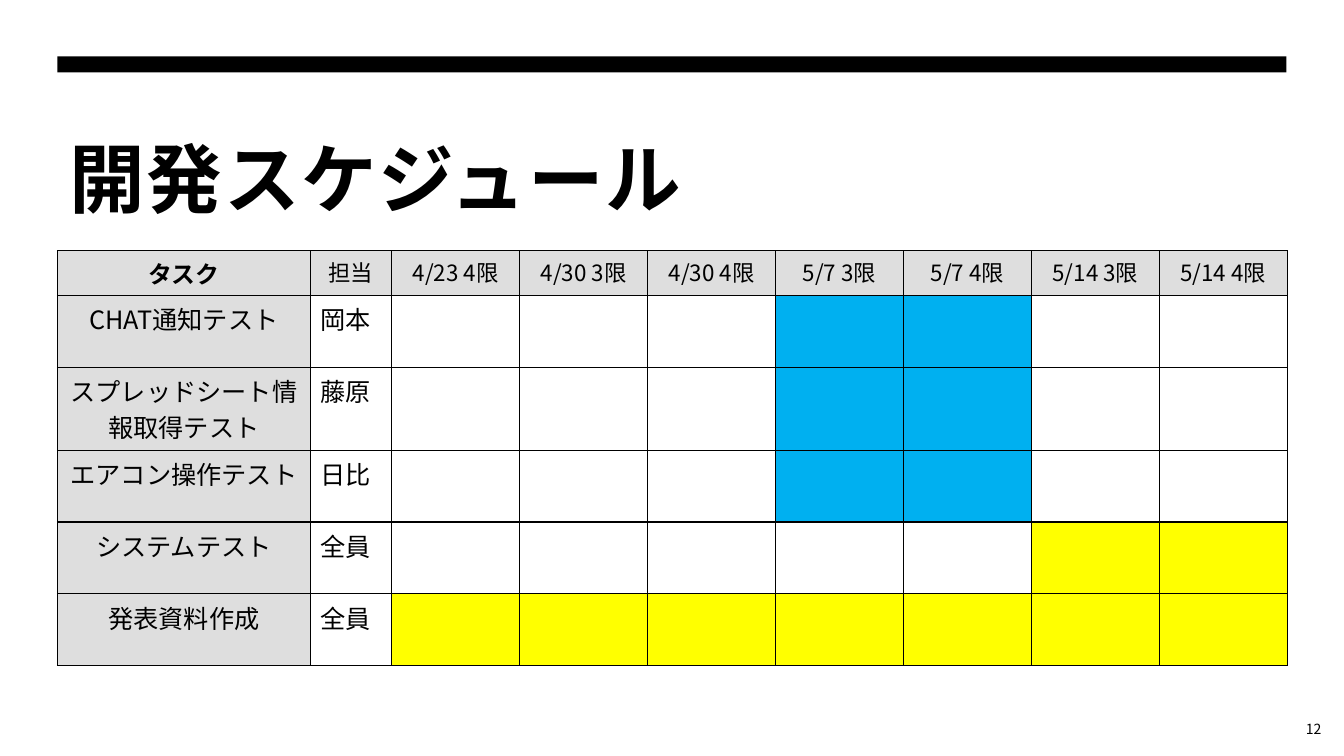
from lxml import etree
from pptx import Presentation
from pptx.dml.color import RGBColor
from pptx.enum import shapes, text
from pptx.oxml import ns
from pptx.util import Pt

BLACK = RGBColor(0x00, 0x00, 0x00)
WHITE = RGBColor(0xFF, 0xFF, 0xFF)
GREY = RGBColor(0xDE, 0xDE, 0xDE)
BLUE = RGBColor(0x00, 0xB0, 0xF0)
YELLOW = RGBColor(0xFF, 0xFF, 0x00)

LEFT, WIDTH = 41, 878
PERIODS = ["4/23 4限", "4/30 3限", "4/30 4限", "5/7 3限", "5/7 4限", "5/14 3限", "5/14 4限"]
# Task, person in charge, bar colour, first and last period of the bar
TASKS = [
    ("CHAT通知テスト", "岡本", BLUE, 3, 4),
    ("スプレッドシート情報取得テスト", "藤原", BLUE, 3, 4),
    ("エアコン操作テスト", "日比", BLUE, 3, 4),
    ("システムテスト", "全員", YELLOW, 5, 6),
    ("発表資料作成", "全員", YELLOW, 0, 6),
]


class ScheduleSlide:
    font_name = "Noto Sans CJK JP"

    def __init__(self, slide):
        self.slide = slide

    def set_words(self, frame, words, size, bold=False, align=text.PP_ALIGN.LEFT):
        frame.text = words
        paragraph = frame.paragraphs[0]
        paragraph.alignment = align
        font = paragraph.font
        font.name, font.size, font.bold = self.font_name, Pt(size), bold
        font.color.rgb = BLACK
        properties = paragraph._p.pPr.find(ns.qn("a:defRPr"))
        east_asian = etree.SubElement(properties, ns.qn("a:ea"))
        east_asian.set("typeface", self.font_name)
        return paragraph

    def set_frame(self, frame, anchor):
        frame.word_wrap = True
        frame.auto_size = text.MSO_AUTO_SIZE.NONE
        frame.vertical_anchor = anchor
        frame.margin_left = frame.margin_right = frame.margin_top = Pt(8.6)
        frame.margin_bottom = Pt(7.2)

    def bar(self, left, top, width, height):
        bar = self.slide.shapes.add_shape(
            shapes.MSO_SHAPE.RECTANGLE, Pt(left), Pt(top), Pt(width), Pt(height))
        bar.shadow.inherit = False
        bar.fill.solid()
        bar.fill.fore_color.rgb = BLACK
        bar.line.fill.background()

    def title(self, words, left, top, width, height):
        title = self.slide.shapes.title
        title.left, title.top, title.width, title.height = map(Pt, (left, top, width, height))
        self.set_frame(title.text_frame, text.MSO_ANCHOR.TOP)
        paragraph = self.set_words(title.text_frame, words, 54, bold=True)
        paragraph.line_spacing = 1.13
        paragraph._p.pPr.find(ns.qn("a:defRPr")).set("spc", "130")

    def page_number(self, number, left, top, width, height):
        box = self.slide.shapes.add_textbox(Pt(left), Pt(top), Pt(width), Pt(height))
        self.set_frame(box.text_frame, text.MSO_ANCHOR.MIDDLE)
        self.set_words(box.text_frame, number, 10, align=text.PP_ALIGN.RIGHT)

    def cell(self, cell, fill, words="", size=18, bold=False, align=text.PP_ALIGN.CENTER):
        cell.fill.solid()
        cell.fill.fore_color.rgb = fill
        if words:
            self.set_words(cell.text_frame, words, size, bold, align)
        for position, side in enumerate(("lnL", "lnR", "lnT", "lnB")):
            border = etree.Element(ns.qn(f"a:{side}"), w=str(Pt(1)))
            solid = etree.SubElement(border, ns.qn("a:solidFill"))
            etree.SubElement(solid, ns.qn("a:srgbClr"), val=str(BLACK))
            cell._tc.get_or_add_tcPr().insert(position, border)

    def schedule(self, left, top, column_widths, row_heights):
        table = self.slide.shapes.add_table(
            len(row_heights), len(column_widths), Pt(left), Pt(top),
            Pt(sum(column_widths)), Pt(sum(row_heights))).table
        table.first_row = table.horz_banding = False
        for column, width in zip(table.columns, column_widths):
            column.width = Pt(width)
        for row, height in zip(table.rows, row_heights):
            row.height = Pt(height)

        self.cell(table.cell(0, 0), GREY, "タスク", 17, bold=True)
        for column, heading in enumerate(["担当"] + PERIODS, 1):
            self.cell(table.cell(0, column), GREY, heading, 16)
        for row, (task, person, colour, first, last) in enumerate(TASKS, 1):
            self.cell(table.cell(row, 0), GREY, task)
            self.cell(table.cell(row, 1), WHITE, person, align=text.PP_ALIGN.LEFT)
            for period in range(len(PERIODS)):
                fill = colour if first <= period <= last else WHITE
                self.cell(table.cell(row, period + 2), fill)


def main():
    deck = Presentation()
    deck.slide_width, deck.slide_height = Pt(960), Pt(540)
    page = ScheduleSlide(deck.slides.add_slide(deck.slide_layouts[5]))
    page.bar(LEFT, 40.3, WIDTH, 11.5)
    page.title("開発スケジュール", LEFT, 77, WIDTH, 115)
    page.schedule(LEFT, 179, [180.7, 58.1] + [91.4] * len(PERIODS),
                  [26.6] + [51.3] * len(TASKS))
    page.page_number("12", 902, 505.5, 50.4, 28.8)
    deck.save("out.pptx")


if __name__ == "__main__":
    main()
